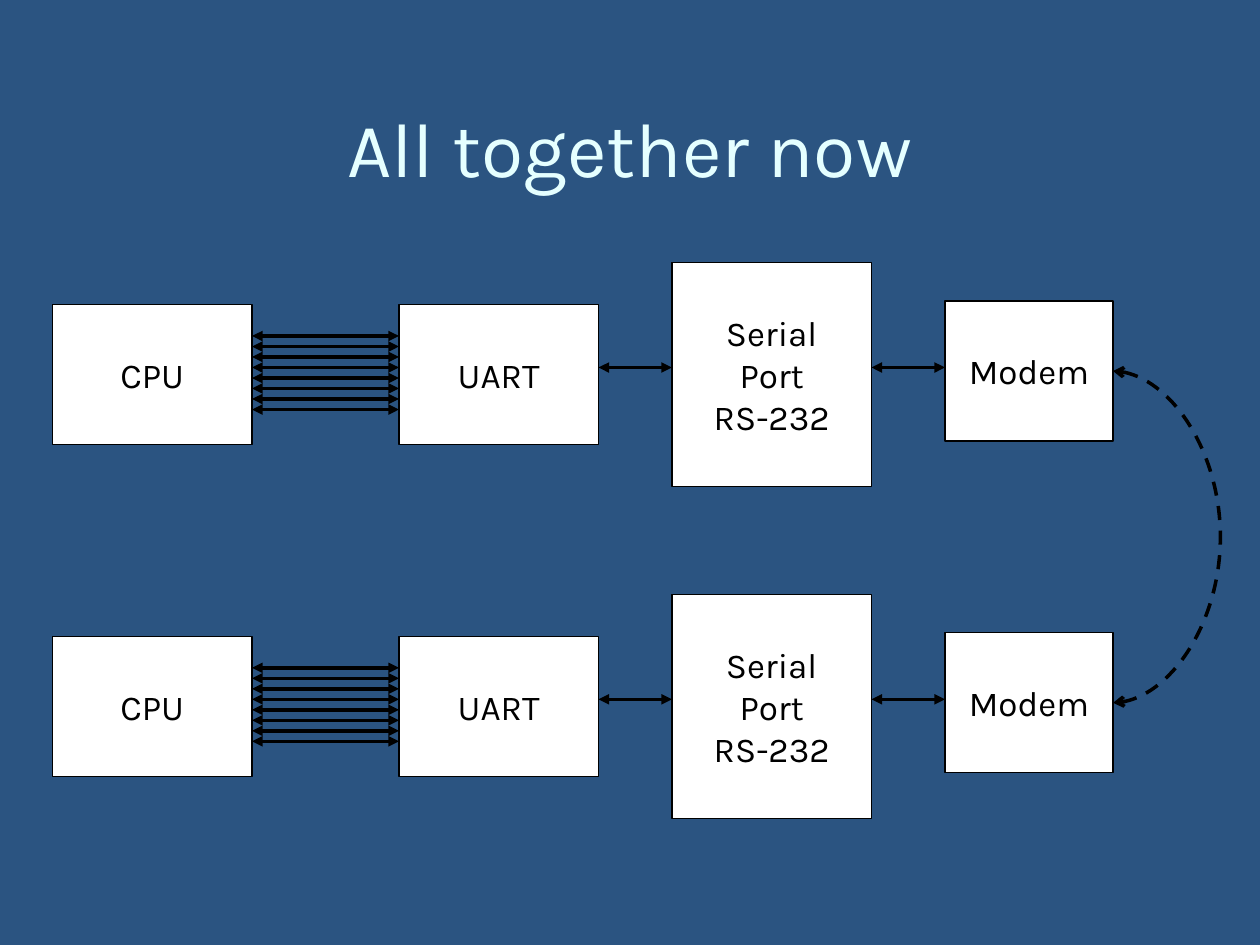
from dataclasses import dataclass

from pptx import Presentation
from pptx.dml.color import RGBColor
from pptx.enum.dml import MSO_LINE
from pptx.enum.shapes import MSO_CONNECTOR, MSO_SHAPE
from pptx.enum.text import MSO_ANCHOR, PP_ALIGN
from pptx.oxml.ns import qn
from pptx.util import Emu, Inches, Pt
from lxml import etree

RECTANGLE = MSO_SHAPE.RECTANGLE
STRAIGHT, CURVE = MSO_CONNECTOR.STRAIGHT, MSO_CONNECTOR.CURVE
MIDDLE, CENTER, DASH = MSO_ANCHOR.MIDDLE, PP_ALIGN.CENTER, MSO_LINE.DASH
FONT = "Karla"
BACKGROUND, TITLE, BLACK, WHITE = "2B5481", "E5FFFF", "000000", "FFFFFF"

# Grid: 12 steps to the inch
STEP = Inches(1) / 12
STATION_TOPS = (25, 56.6)
SIGNAL_ROW = 10          # serial line, below the top of a station
BUS_ROWS = range(7, 15)  # eight parallel wires
CURVE_REACH = 11.28      # how far the link's control line lies from the modems
CURVE_WIDTH = Emu(1588)  # nearly zero, as both ends share one column


@dataclass(frozen=True)
class Block:
    label: str
    column: float
    row: float
    width: float
    height: float

    @property
    def right(self) -> float:
        return self.column + self.width


CPU = Block("CPU", 5, 4, 19, 13.33)
UART = Block("UART", 38, 4, 19, 13.33)
PORT = Block("Serial\nPort\nRS-232", 64, 0, 19, 21.33)
MODEM = Block("Modem", 90, 3.67, 16, 13.33)
BLOCKS = (CPU, UART, PORT, MODEM)


def steps(count: float) -> Emu:
    return Emu(round(count * STEP))


def color(hex_text: str) -> RGBColor:
    return RGBColor.from_string(hex_text)


def format_text(frame, size: float, hex_text: str) -> None:
    frame.word_wrap = True
    frame.vertical_anchor = MIDDLE
    for para in frame.paragraphs:
        para.alignment = CENTER
        for run in para.runs:
            run.font.name = FONT
            run.font.size = Pt(size)
            run.font.color.rgb = color(hex_text)


def draw_block(slide, block: Block, top: float) -> None:
    box = slide.shapes.add_shape(
        RECTANGLE, steps(block.column), steps(top + block.row),
        steps(block.width), steps(block.height))
    box.shadow.inherit = False
    box.fill.solid()
    box.fill.fore_color.rgb = color(WHITE)
    box.line.color.rgb = color(BLACK)
    box.line.width = Pt(0.75)
    box.text_frame.text = block.label
    format_text(box.text_frame, 20, BLACK)


def style_arrow(arrow, head: str, dash=None) -> None:
    arrow.line.color.rgb = color(BLACK)
    arrow.line.width = Pt(2)
    if dash is not None:
        arrow.line.dash_style = dash
    properties = arrow._element.spPr
    outline = properties.find(qn("a:ln"))
    for tag in ("a:headEnd", "a:tailEnd"):
        etree.SubElement(outline, qn(tag), type=head)
    etree.SubElement(properties, qn("a:effectLst"))


def draw_wire(slide, start: Block, end: Block, row: float) -> None:
    wire = slide.shapes.add_connector(
        STRAIGHT, steps(start.right), steps(row), steps(end.column), steps(row))
    style_arrow(wire, "triangle")


def draw_station(slide, top: float) -> None:
    for block in BLOCKS:
        draw_block(slide, block, top)
    for row in BUS_ROWS:
        draw_wire(slide, CPU, UART, top + row)
    for start, end in ((UART, PORT), (PORT, MODEM)):
        draw_wire(slide, start, end, top + SIGNAL_ROW)


def draw_modem_link(slide) -> None:
    begin, end = (steps(top + MODEM.row + MODEM.height / 2) for top in STATION_TOPS)
    left = steps(MODEM.right)
    link = slide.shapes.add_connector(CURVE, left, begin, left + CURVE_WIDTH, end)
    style_arrow(link, "arrow", DASH)
    geometry = link._element.spPr.find(qn("a:prstGeom"))
    adjustments = geometry.find(qn("a:avLst"))
    if adjustments is None:
        adjustments = etree.SubElement(geometry, qn("a:avLst"))
    reach = round(steps(CURVE_REACH) / CURVE_WIDTH * 100000)
    etree.SubElement(adjustments, qn("a:gd"), name="adj1", fmla=f"val {reach}")


def main() -> None:
    deck = Presentation()
    deck.slide_width, deck.slide_height = Inches(10), Inches(7.5)
    slide = deck.slides.add_slide(deck.slide_layouts[5])
    slide.background.fill.solid()
    slide.background.fill.fore_color.rgb = color(BACKGROUND)

    # Title
    title = slide.shapes.title
    title.left, title.top = steps(6), steps(5)
    title.width, title.height = steps(108), steps(18)
    title.text_frame.text = "All together now"
    format_text(title.text_frame, 44, TITLE)

    # Two stations, joined by their modems
    for top in STATION_TOPS:
        draw_station(slide, top)
    draw_modem_link(slide)

    deck.save("out.pptx")


if __name__ == "__main__":
    main()
